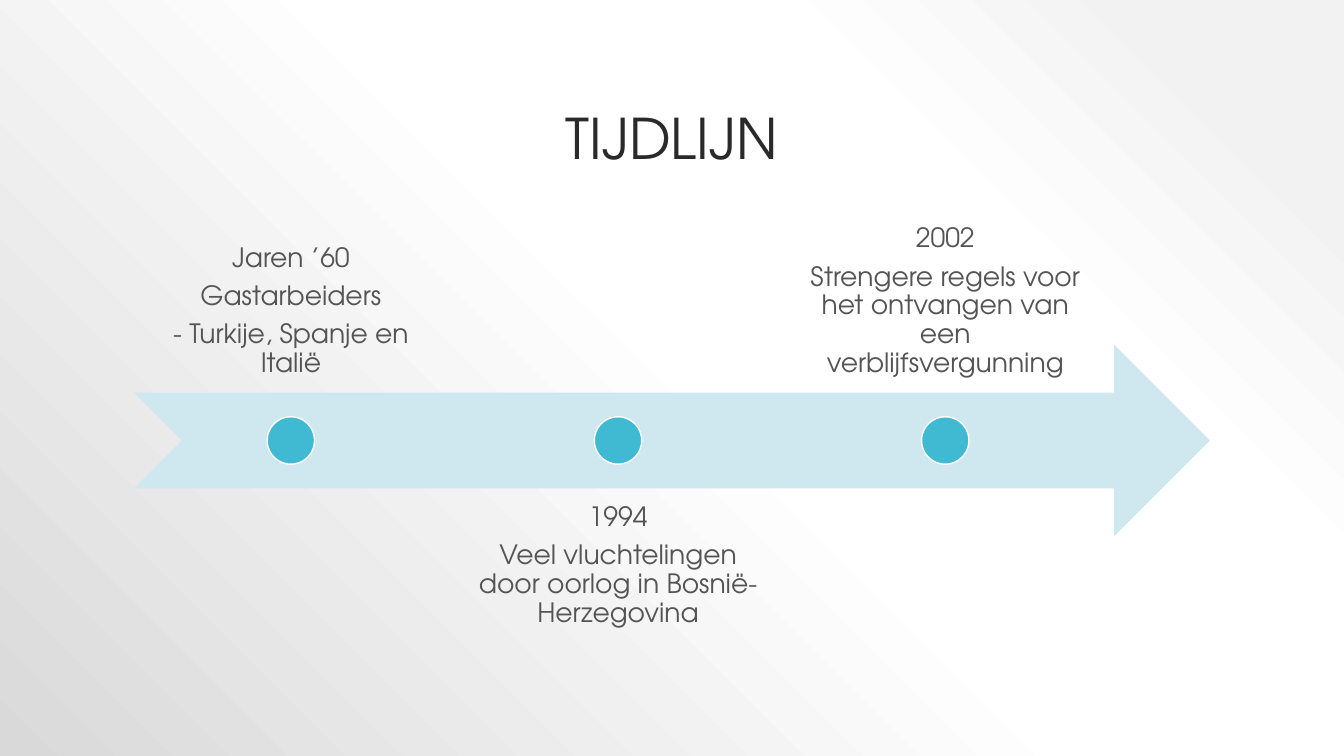
from dataclasses import dataclass

from lxml.etree import SubElement
from pptx import Presentation
from pptx.dml.color import RGBColor
from pptx.enum.shapes import MSO_SHAPE
from pptx.enum.text import MSO_ANCHOR, PP_ALIGN
from pptx.oxml.ns import qn
from pptx.slide import Slide
from pptx.util import Inches, Pt

FONT = "TeX Gyre Adventor"
COLORS = {
    "title": "2A2A2A",
    "label": "545454",
    "arrow": "CFE7EE",
    "dot": "40BAD2",
    "outline": "FFFFFF",
}
BACKDROP_STOPS = {10: "F2F2F2", 28: "FFFFFF", 48: "FFFFFF", 100: "D9D9D9"}
BACKDROP_FOCUS = {"l": 100, "t": 0, "r": 0, "b": 100}

ARROW_LEFT, ARROW_TOP, ARROW_WIDTH, ARROW_HEIGHT = 1.33, 3.42, 10.67, 1.9
LABEL_LEFT, LABEL_WIDTH, LABEL_HEIGHT = 1.34, 3.09, 1.9
LABEL_TOP_ABOVE, LABEL_TOP_BELOW = 2.0, 4.85
EVENT_STEP = 3.245
DOT_SIZE = 0.47


@dataclass(frozen=True)
class Event:
    lines: tuple[str, ...]
    above: bool


@dataclass(frozen=True)
class TextStyle:
    size: float
    color: str
    inset_x: float
    inset_y: float
    space_after: float = 0


TITLE_STYLE = TextStyle(40, "title", 0.1, 0.05)
LABEL_STYLE = TextStyle(19, "label", 0.15, 0.15, space_after=6.65)

EVENTS = (
    Event(("Jaren ’60", "Gastarbeiders", "- Turkije, Spanje en Italië"), True),
    Event(("1994", "Veel vluchtelingen door oorlog in Bosnië-Herzegovina"), False),
    Event(("2002", "Strengere regels voor het ontvangen van een verblijfsvergunning"), True),
)


def rgb(name: str) -> RGBColor:
    return RGBColor.from_string(COLORS[name])


def apply_format(target: object, values: dict) -> None:
    for attribute, value in values.items():
        setattr(target, attribute, value)


def paint_backdrop(slide: Slide) -> None:
    """Radial gradient that starts in the top right corner."""
    fill = slide.background.fill
    fill.gradient()
    gradient = slide.background._cSld.find(".//" + qn("a:gradFill"))
    for child in list(gradient):
        gradient.remove(child)
    stops = SubElement(gradient, qn("a:gsLst"))
    for position, color in BACKDROP_STOPS.items():
        stop = SubElement(stops, qn("a:gs"), pos=str(position * 1000))
        SubElement(stop, qn("a:srgbClr"), val=color)
    radial = SubElement(gradient, qn("a:path"), {"path": "circle"})
    focus = {side: str(share * 1000) for side, share in BACKDROP_FOCUS.items()}
    SubElement(radial, qn("a:fillToRect"), focus)


def add_text(slide: Slide, left: float, top: float, width: float, height: float,
             lines: tuple[str, ...], style: TextStyle, anchor: MSO_ANCHOR) -> None:
    box = slide.shapes.add_textbox(Inches(left), Inches(top), Inches(width), Inches(height))
    frame = box.text_frame
    apply_format(frame, {
        "word_wrap": True,
        "vertical_anchor": anchor,
        "margin_left": Inches(style.inset_x),
        "margin_right": Inches(style.inset_x),
        "margin_top": Inches(style.inset_y),
        "margin_bottom": Inches(style.inset_y),
    })
    frame.text = "\n".join(lines)
    for paragraph in frame.paragraphs:
        apply_format(paragraph, {
            "alignment": PP_ALIGN.CENTER,
            "line_spacing": 0.9,
            "space_after": Pt(style.space_after),
        })
        font = paragraph.runs[0].font
        apply_format(font, {"name": FONT, "size": Pt(style.size)})
        font.color.rgb = rgb(style.color)


def add_figure(slide: Slide, kind: MSO_SHAPE, left: float, top: float, width: float,
               height: float, fill: str, outline: str | None = None) -> None:
    figure = slide.shapes.add_shape(
        kind, Inches(left), Inches(top), Inches(width), Inches(height))
    figure.shadow.inherit = False
    figure.fill.solid()
    figure.fill.fore_color.rgb = rgb(fill)
    if outline:
        figure.line.color.rgb = rgb(outline)
        figure.line.width = Pt(1)
    else:
        figure.line.fill.background()


def add_event(slide: Slide, index: int, event: Event) -> None:
    left = LABEL_LEFT + index * EVENT_STEP
    top = LABEL_TOP_ABOVE if event.above else LABEL_TOP_BELOW
    anchor = MSO_ANCHOR.BOTTOM if event.above else MSO_ANCHOR.TOP
    add_text(slide, left, top, LABEL_WIDTH, LABEL_HEIGHT, event.lines, LABEL_STYLE, anchor)
    add_figure(slide, MSO_SHAPE.OVAL,
               left + (LABEL_WIDTH - DOT_SIZE) / 2,
               ARROW_TOP + (ARROW_HEIGHT - DOT_SIZE) / 2,
               DOT_SIZE, DOT_SIZE, "dot", "outline")


def main() -> None:
    deck = Presentation()
    apply_format(deck, {"slide_width": Inches(13.33), "slide_height": Inches(7.5)})
    slide = deck.slides.add_slide(deck.slide_layouts[6])
    paint_backdrop(slide)

    # Title
    add_text(slide, ARROW_LEFT, 0.3, ARROW_WIDTH, 1.45, ("TIJDLIJN",),
             TITLE_STYLE, MSO_ANCHOR.BOTTOM)

    # Timeline arrow with its events
    add_figure(slide, MSO_SHAPE.NOTCHED_RIGHT_ARROW,
               ARROW_LEFT, ARROW_TOP, ARROW_WIDTH, ARROW_HEIGHT, "arrow")
    for index, event in enumerate(EVENTS):
        add_event(slide, index, event)

    deck.save("out.pptx")


if __name__ == "__main__":
    main()
